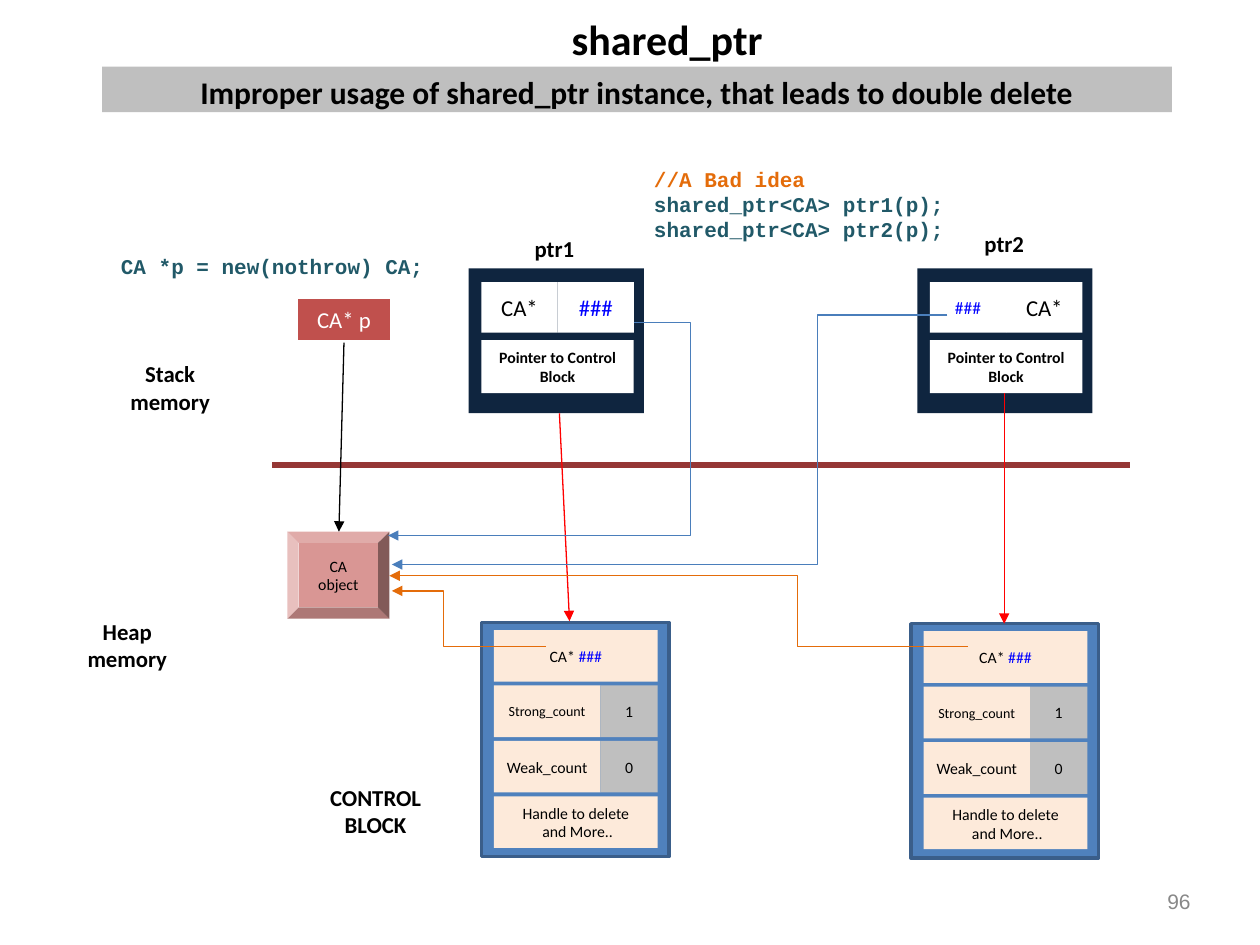
from dataclasses import dataclass, replace

from pptx import Presentation
from pptx.dml.color import RGBColor
from pptx.enum.shapes import MSO_CONNECTOR, MSO_SHAPE
from pptx.enum.text import MSO_ANCHOR, PP_ALIGN
from pptx.oxml.ns import qn
from pptx.util import Inches, Pt

COLS, ROWS = 100, 75
COLORS = {
    "black": "000000", "white": "FFFFFF", "navy": "0F253F", "blue": "4F81BD",
    "edge": "3A5E8A", "peach": "FDEADA", "grey": "BFBFBF", "hash": "0000FF",
    "red": "FF0000", "brick": "C0504D", "rose": "D99694", "border": "953735",
    "orange": "E46C0A", "teal": "215968", "link": "4A7EBB", "number": "888888",
}

prs = Presentation()
prs.slide_width, prs.slide_height = Inches(10), Inches(7.5)
COL, ROW = prs.slide_width / COLS, prs.slide_height / ROWS
slide = prs.slides.add_slide(prs.slide_layouts[6])


@dataclass(frozen=True)
class Style:
    size: float = 9
    bold: bool = False
    color: str = "black"
    font: str = "Calibri"
    align: PP_ALIGN = PP_ALIGN.CENTER
    anchor: MSO_ANCHOR = MSO_ANCHOR.MIDDLE
    inset: float = 1


@dataclass(frozen=True)
class Run:
    text: str
    color: str


@dataclass(frozen=True)
class Box:
    """A text area in grid units; each line is a string or a tuple of runs."""
    x: float
    y: float
    w: float
    h: float
    lines: tuple = ()
    style: Style = Style()
    fill: str = ""


@dataclass(frozen=True)
class Arrow:
    color: str
    points: tuple


SMALL = Style()
TINY = Style(size=8)
VALUE = Style(size=13)
HASH = Style(size=13, color="hash")
CAPTION = Style(size=9, bold=True)
LABEL = Style(size=13, bold=True, anchor=MSO_ANCHOR.TOP, inset=0.5)
CODE = replace(LABEL, size=12, color="teal", font="Courier New", align=PP_ALIGN.LEFT)

POINTER_CAPTION = Box(1, 5.7, 12.1, 4.2, ("Pointer to Control Block",), CAPTION, "white")
CONTROL_STEP, CONTROL_H = 4.4, 4.1
CONTROL_ROWS = (
    ((13, "peach", ((Run("CA* ", "black"), Run("###", "hash")),), SMALL),),
    ((8.45, "peach", ("Strong_count",), TINY), (4.55, "grey", ("1",), SMALL)),
    ((8.45, "peach", ("Weak_count",), SMALL), (4.55, "grey", ("0",), SMALL)),
    ((13, "peach", ("Handle to delete", " and More.."), SMALL),),
)

LABELS = (
    Box(24.9, 61.7, 9.8, 5, ("CONTROL BLOCK",), LABEL),
    Box(8.6, 28.1, 9.8, 5, ("Stack memory",), LABEL),
    Box(5.2, 48.5, 9.8, 5, ("Heap memory",), LABEL),
    Box(41.7, 18.1, 4.6, 2.8, ("ptr1",), LABEL),
    Box(77.4, 17.7, 4.6, 2.8, ("ptr2",), LABEL),
    Box(51.4, 12.7, 28.2, 6.8,
        ((Run("//A Bad idea", "orange"),), "shared_ptr<CA> ptr1(p);",
         "shared_ptr<CA> ptr2(p);"), CODE),
    Box(43.8, 0.6, 18.3, 4.3, ("shared_ptr",), replace(LABEL, size=24)),
    Box(91, 70.2, 4, 2.7, ("96",),
        Style(12, False, "number", "Arial", PP_ALIGN.RIGHT, inset=0.5)),
    Box(8.1, 5.3, 84.9, 3.6,
        ("Improper usage of shared_ptr instance, that leads to double delete",),
        replace(LABEL, size=18), "grey"),
    Box(9.1, 19.6, 26, 2.9, ("CA *p = new(nothrow) CA;",), CODE),
)

STRAIGHT_ARROWS = (
    Arrow("black", ((27.3, 27.2), (26.9, 42.2))),
    Arrow("red", ((44.4, 32.8), (45.2, 49.3))),
    Arrow("red", ((79.7, 31.2), (79.7, 49.5))),
)
ELBOW_ARROWS = (
    Arrow("orange", ((76.8, 51.3), (63.3, 51.3), (63.3, 45.7), (30.9, 45.7))),
    Arrow("orange", ((43.3, 51.3), (35.2, 51.3), (35.2, 46.9), (31.1, 46.9))),
    Arrow("link", ((75.2, 25), (64.9, 25), (64.9, 44.8), (31.1, 44.8))),
    Arrow("link", ((50.3, 25.6), (54.8, 25.6), (54.8, 42.5), (30.8, 42.5))),
)


def rgb(name: str) -> RGBColor:
    return RGBColor.from_string(COLORS[name])


def grid(x: float, y: float) -> tuple[int, int]:
    return round(x * COL), round(y * ROW)


def write(s, lines: tuple, style: Style) -> None:
    tf = s.text_frame
    inset = round(style.inset * COL)
    frame = {"word_wrap": True, "vertical_anchor": style.anchor,
             "margin_left": inset, "margin_right": inset,
             "margin_top": round(ROW / 2), "margin_bottom": round(ROW / 2)}
    for name, value in frame.items():
        setattr(tf, name, value)
    for i, line in enumerate(lines):
        p = tf.add_paragraph() if i else tf.paragraphs[0]
        p.alignment = style.align
        runs = (Run(line, style.color),) if isinstance(line, str) else line
        for run in runs:
            r = p.add_run()
            r.text = run.text
            font = {"size": Pt(style.size), "bold": style.bold, "name": style.font}
            for name, value in font.items():
                setattr(r.font, name, value)
            r.font.color.rgb = rgb(run.color)


def draw_box(parent, box: Box, kind=MSO_SHAPE.RECTANGLE, edge: str = ""):
    area = (*grid(box.x, box.y), *grid(box.w, box.h))
    if not box.fill:
        s = parent.add_textbox(*area)
    else:
        s = parent.add_shape(kind, *area)
        s.shadow.inherit = False
        s.fill.solid()
        s.fill.fore_color.rgb = rgb(box.fill)
        if edge:
            s.line.color.rgb = rgb(edge)
            s.line.width = Pt(2)
        else:
            s.line.fill.background()
    if box.lines:
        write(s, box.lines, box.style)
    return s


def draw_pointer(x: float, y: float, left: tuple, right: tuple) -> None:
    """Smart pointer: two cells over a caption; left and right are (text, style)."""
    parent = slide.shapes.add_group_shape().shapes
    draw_box(parent, Box(x, y, 13.9, 11.5, fill="navy"))
    cells = [Box(1 + i * 6.05, 1.1, 6.05, 4, (text,), replace(style, inset=0.5), "white")
             for i, (text, style) in enumerate((left, right))]
    for cell in (*cells, POINTER_CAPTION):
        draw_box(parent, replace(cell, x=x + cell.x, y=y + cell.y))


def draw_control_block(x: float, y: float) -> None:
    parent = slide.shapes.add_group_shape().shapes
    draw_box(parent, Box(x, y, 14.9, 18.6, fill="blue"), edge="edge")
    for i, cells in enumerate(CONTROL_ROWS):
        left = x + 1
        for width, fill, lines, style in cells:
            top = y + 0.6 + i * CONTROL_STEP
            draw_box(parent, Box(left, top, width, CONTROL_H, lines, style, fill))
            left += width


def style_line(s, color: str, width: float, head: bool) -> None:
    s.line.color.rgb = rgb(color)
    s.line.width = Pt(width)
    if head:
        ln = s.line._get_or_add_ln()
        ln.append(ln.makeelement(qn("a:tailEnd"), {"type": "triangle"}))


def draw_line(arrow: Arrow, width: float = 0.75, head: bool = True) -> None:
    start, end = arrow.points
    s = slide.shapes.add_connector(MSO_CONNECTOR.STRAIGHT, *grid(*start), *grid(*end))
    style_line(s, arrow.color, width, head)
    sp_pr = s._element.spPr
    sp_pr.append(sp_pr.makeelement(qn("a:effectLst"), {}))


def draw_elbow(arrow: Arrow) -> None:
    start, *rest = [grid(*point) for point in arrow.points]
    builder = slide.shapes.build_freeform(*start)
    builder.add_line_segments(rest, close=False)
    s = builder.convert_to_shape()
    s.shadow.inherit = False
    s.fill.background()
    style_line(s, arrow.color, 0.75, True)


def main() -> None:
    draw_pointer(72.8, 21.3, ("###", replace(HASH, size=10)), ("CA*", VALUE))
    draw_pointer(37.2, 21.3, ("CA*", VALUE), ("###", HASH))
    draw_line(Arrow("border", ((21.6, 36.9), (89.7, 36.9))), 3, False)
    raw = Box(23.5, 23.6, 7.6, 3.5, ("CA* p",), replace(VALUE, color="white"), "brick")
    draw_box(slide.shapes, raw, edge="white")
    target = Box(22.8, 42.2, 8.1, 6.9, ("CA", "object"), replace(SMALL, inset=0.5), "rose")
    draw_box(slide.shapes, replace(target, lines=("CA object",),
                                   style=replace(SMALL, inset=1)),
             MSO_SHAPE.BEVEL).adjustments[0] = 0.13
    for x, y in ((38.2, 49.4), (72.3, 49.5)):
        draw_control_block(x, y)
    for label in LABELS:
        draw_box(slide.shapes, label)
    for arrow in STRAIGHT_ARROWS:
        draw_line(arrow)
    for arrow in ELBOW_ARROWS:
        draw_elbow(arrow)
    prs.save("out.pptx")


if __name__ == "__main__":
    main()
